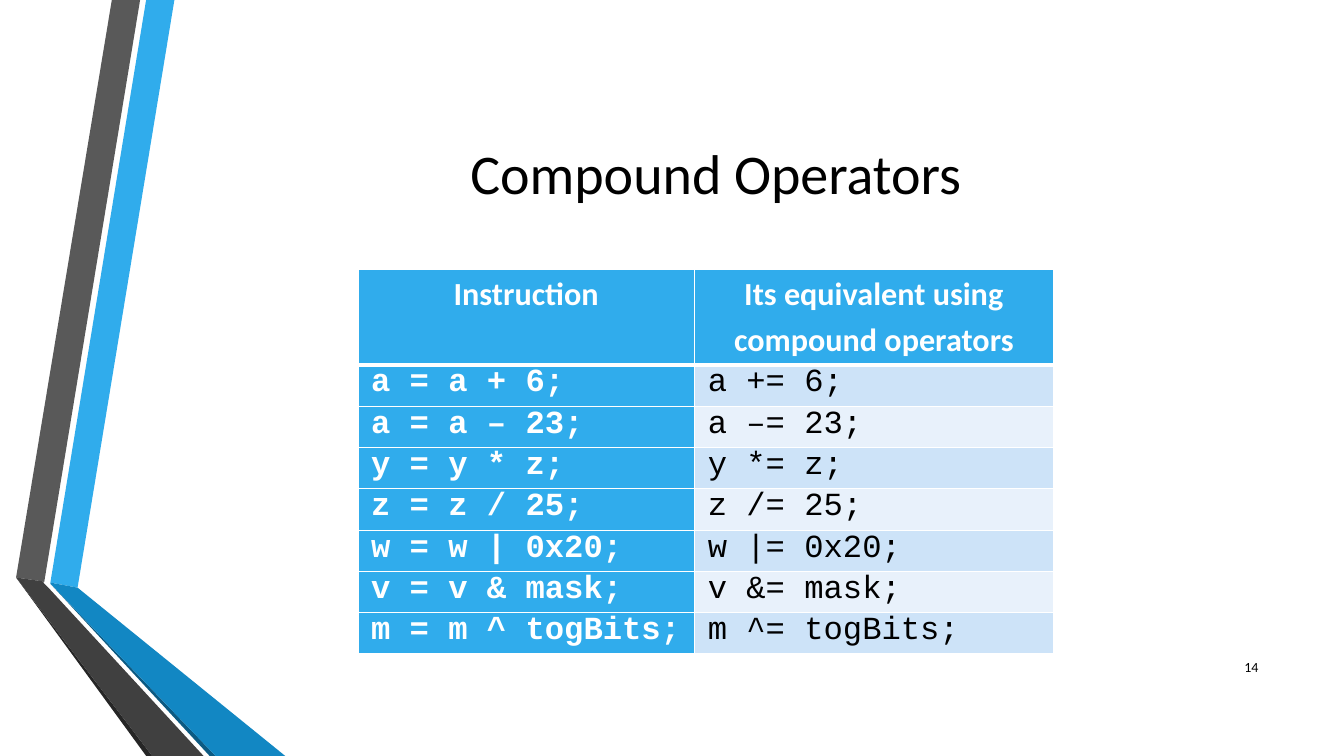
"""Builds the Compound Operators slide with its ribbon and operator table."""
from lxml import etree
from pptx import Presentation
from pptx.dml.color import RGBColor
from pptx.enum.text import MSO_ANCHOR, PP_ALIGN
from pptx.oxml.ns import qn
from pptx.util import Inches, Pt

LEFT, CENTER, RIGHT = PP_ALIGN.LEFT, PP_ALIGN.CENTER, PP_ALIGN.RIGHT
MIDDLE = MSO_ANCHOR.MIDDLE

BLUE, WHITE, BLACK = "30ACEC", "FFFFFF", "000000"
BANDS = ("CDE3F8", "E8F1FB")
BODY_FONT, CODE_FONT = "Calibri", "Courier New"

RIBBONS = [
    (BLUE, [(0.5, 5.78), (0.77, 5.83), (1.73, 0), (1.45, 0)]),
    ("595959", [(1.39, 0), (1.11, 0), (0.16, 5.73), (0.44, 5.77)]),
    ("262626", [(0.16, 5.73), (1.45, 7.5), (1.51, 7.5)]),
    ("0C5A82", [(0.5, 5.79), (2.08, 7.5), (2.14, 7.5)]),
    ("1287C3", [(0.5, 5.79), (2.14, 7.5), (2.83, 7.5), (0.77, 5.83), (0.5, 5.78)]),
    ("404040", [(2.02, 7.5), (0.48, 5.83), (0.43, 5.78), (0.44, 5.77),
                (0.16, 5.73), (1.51, 7.5)]),
]
LABELS = [
    ("Compound Operators", (1.62, 0.75, 10.96, 1.92), 40, CENTER),
    ("14", (11.98, 6.42, 0.6, 0.4), 10, RIGHT),
]
HEADINGS = ("Instruction", "Its equivalent using compound operators")
OPERATIONS = [
    ("a = a + 6;", "a += 6;"),
    ("a = a – 23;", "a –= 23;"),
    ("y = y * z;", "y *= z;"),
    ("z = z / 25;", "z /= 25;"),
    ("w = w | 0x20;", "w |= 0x20;"),
    ("v = v & mask;", "v &= mask;"),
    ("m = m ^ togBits;", "m ^= togBits;"),
]
TABLE_LEFT, TABLE_TOP = 3.55, 2.67
COLUMN_WIDTHS = (3.34, 3.56)
HEADING_HEIGHT, OPERATION_HEIGHT = 0.95, 0.41


def paint(fill, color):
    fill.solid()
    fill.fore_color.rgb = RGBColor.from_string(color)


def write(frame, text, size, font, color, align, bold=False):
    frame.text = text
    paragraph = frame.paragraphs[0]
    paragraph.alignment = align
    style = paragraph.runs[0].font
    style.size, style.name, style.bold = Pt(size), font, bold
    style.color.rgb = RGBColor.from_string(color)
    return paragraph


def add_ribbon(slide, color, points):
    corners = [(Inches(x), Inches(y)) for x, y in points]
    builder = slide.shapes.build_freeform(*corners[0])
    builder.add_line_segments(corners[1:], close=True)
    ribbon = builder.convert_to_shape()
    ribbon.shadow.inherit = False
    paint(ribbon.fill, color)
    ribbon.line.fill.background()


def add_label(slide, text, box, size, align):
    frame = slide.shapes.add_textbox(*map(Inches, box)).text_frame
    frame.word_wrap = True
    frame.vertical_anchor = MIDDLE
    write(frame, text, size, BODY_FONT, BLACK, align)


def add_borders(cell, widths):
    properties = cell._tc.get_or_add_tcPr()
    for index, (side, width) in enumerate(widths.items()):
        border = etree.Element(qn("a:" + side), w=str(Pt(width)))
        solid = etree.SubElement(border, qn("a:solidFill"))
        etree.SubElement(solid, qn("a:srgbClr"), val=WHITE)
        properties.insert(index, border)


def add_operator_table(slide):
    heights = [HEADING_HEIGHT] + [OPERATION_HEIGHT] * len(OPERATIONS)
    table = slide.shapes.add_table(
        len(heights), len(COLUMN_WIDTHS), Inches(TABLE_LEFT), Inches(TABLE_TOP),
        Inches(sum(COLUMN_WIDTHS)), Inches(sum(heights))).table
    for column, width in zip(table.columns, COLUMN_WIDTHS):
        column.width = Inches(width)
    for row, height in zip(table.rows, heights):
        row.height = Inches(height)
    for r, texts in enumerate([HEADINGS] + OPERATIONS):
        for c, text in enumerate(texts):
            cell = table.cell(r, c)
            heading, equivalent = r == 0, r > 0 and c == 1
            cell.margin_left = cell.margin_right = Inches(0.13)
            cell.margin_top = cell.margin_bottom = 0
            paint(cell.fill, BANDS[(r - 1) % 2] if equivalent else BLUE)
            paragraph = write(
                cell.text_frame, text, 23, BODY_FONT if heading else CODE_FONT,
                BLACK if equivalent else WHITE, CENTER if heading else LEFT,
                bold=not equivalent)
            if heading:
                paragraph.line_spacing = 1.15
            if equivalent:
                paragraph.space_after = Pt(6)
            add_borders(cell, {"lnL": 1, "lnR": 1, "lnT": 3 if r == 1 else 1,
                               "lnB": 3 if heading else 1})


def main():
    deck = Presentation()
    deck.slide_width, deck.slide_height = Inches(13.33), Inches(7.5)
    slide = deck.slides.add_slide(deck.slide_layouts[6])
    for ribbon in RIBBONS:
        add_ribbon(slide, *ribbon)
    for label in LABELS:
        add_label(slide, *label)
    add_operator_table(slide)
    deck.save("out.pptx")


main()
